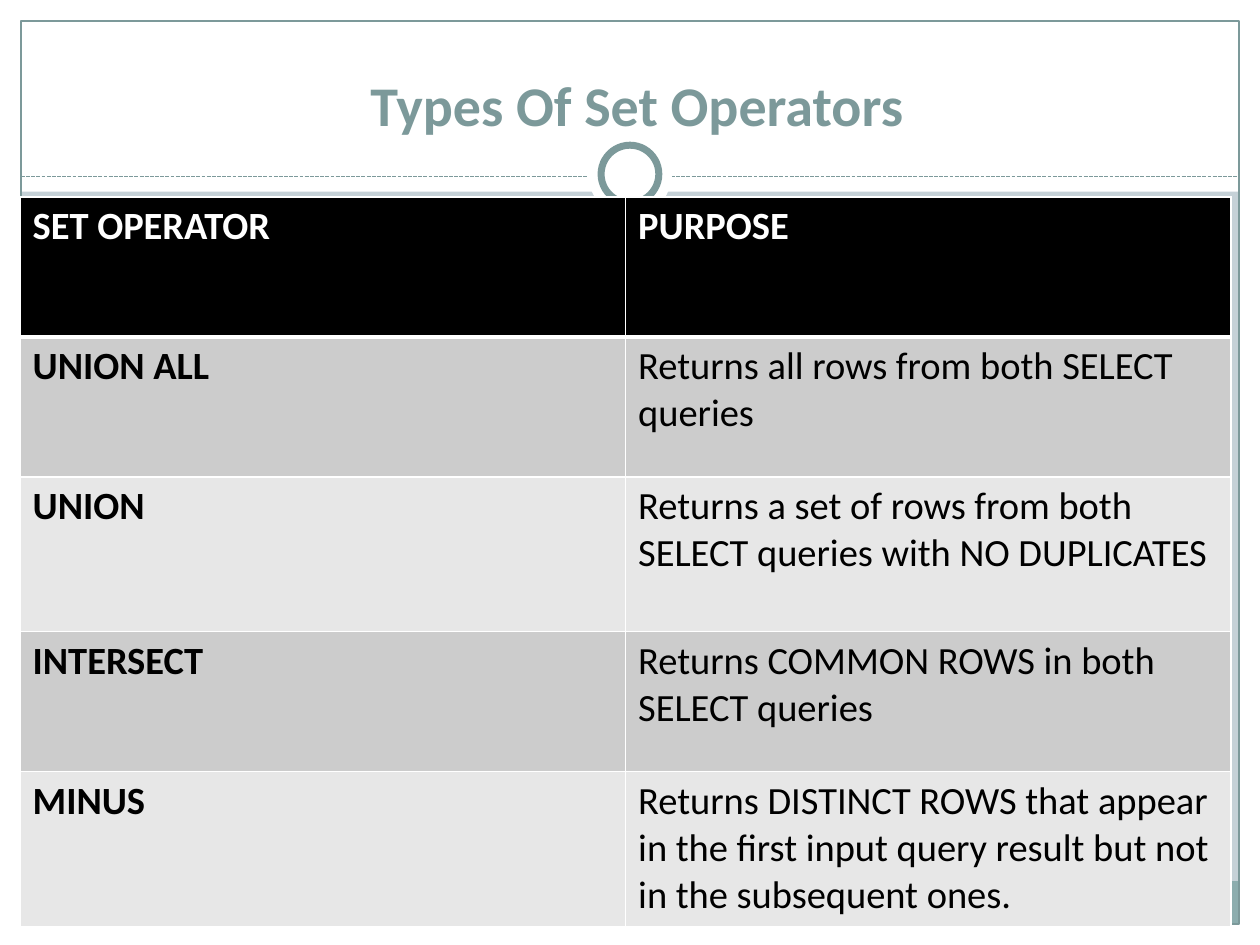
from lxml import etree
from pptx import Presentation
from pptx.dml.color import RGBColor
from pptx.enum import dml, shapes, text
from pptx.oxml import ns
from pptx.util import Pt

HUES = {
    "back": "C5D1D7", "white": "FFFFFF", "teal": "7C999A", "foot": "8CADAE",
    "black": "000000", "dark": "CCCCCC", "light": "E7E7E7",
}
WIDE, HIGH, EDGE = 720, 540, 12
ROWS = [
    ("SET OPERATOR", "PURPOSE", 80),
    ("UNION ALL", "Returns all rows from both SELECT queries", 80),
    ("UNION", "Returns a set of rows from both SELECT queries with NO DUPLICATES", 88.5),
    ("INTERSECT", "Returns COMMON ROWS in both SELECT queries", 80),
    ("MINUS", "Returns DISTINCT ROWS that appear in the first input query result "
              "but not in the subsequent ones.", 88.5),
]


def hue(name):
    return RGBColor.from_string(HUES[name])


def paint(fill, name):
    fill.solid()
    fill.fore_color.rgb = hue(name)


def style(part, look):
    for key, val in look.items():
        setattr(part, key, val)


def write(frame, words, size, tint, bold, align):
    para = frame.paragraphs[0]
    para.alignment = align
    run = para.add_run()
    run.text = words
    style(run.font, {"name": "Calibri", "size": Pt(size), "bold": bold})
    run.font.color.rgb = hue(tint)


def add_form(slide, kind, box, fill=None, width=0):
    form = slide.shapes.add_shape(kind, *map(Pt, box))
    form.shadow.inherit = False
    if fill:
        paint(form.fill, fill)
    else:
        form.fill.background()
    if width:
        form.line.color.rgb = hue("teal")
        form.line.width = Pt(width)
    else:
        form.line.fill.background()


def add_frame(slide, box):
    left, top, width, height = box
    right, base = left + width, top + height
    rect, oval = shapes.MSO_SHAPE.RECTANGLE, shapes.MSO_SHAPE.OVAL
    for band in [(left, base - EDGE, width, EDGE), (left, top, width, 109.5),
                 (left, top, EDGE, height), (right - EDGE, top, EDGE, height)]:
        add_form(slide, rect, band, "white")
    inner = width - 2 * EDGE
    add_form(slide, rect, (left + EDGE, base - 36.5, inner, 24.5), "foot")
    add_form(slide, rect, (left + EDGE, top + EDGE, inner, height - 2 * EDGE), None, 0.75)
    rule = slide.shapes.add_connector(
        shapes.MSO_CONNECTOR.STRAIGHT,
        *map(Pt, (left + EDGE, top + 100.8, right - EDGE, top + 100.8)))
    rule.line.color.rgb = hue("teal")
    style(rule.line, {"width": Pt(0.75), "dash_style": dml.MSO_LINE.SQUARE_DOT})
    etree.SubElement(rule._element.spPr, ns.qn("a:effectLst"))
    for size, line in [(48, 0), (33, 4)]:
        spot = (left + (width - size) / 2, top + 99.5 - size / 2, size, size)
        add_form(slide, oval, spot, "white", line)


def add_title(slide, box):
    frame = slide.shapes.add_textbox(*map(Pt, box)).text_frame
    style(frame, {"word_wrap": True, "vertical_anchor": text.MSO_ANCHOR.BOTTOM})
    write(frame, "Types Of Set Operators", 32, "teal", True, text.PP_ALIGN.CENTER)


def add_edges(cell, widths):
    props = cell._tc.get_or_add_tcPr()
    for side, width in zip("LRTB", widths):
        line = etree.SubElement(props, ns.qn("a:ln" + side), w=str(Pt(width)))
        fill = etree.SubElement(line, ns.qn("a:solidFill"))
        etree.SubElement(fill, ns.qn("a:srgbClr"), val=HUES["white"])


def add_grid(slide, box):
    table = slide.shapes.add_table(len(ROWS), 2, *map(Pt, box)).table
    style(table, {"first_row": True, "horz_banding": False})
    for col in table.columns:
        col.width = Pt(box[2] / 2)
    for i, (name, goal, high) in enumerate(ROWS):
        table.rows[i].height = Pt(high)
        head = i == 0
        fill = "black" if head else "dark" if i % 2 else "light"
        for j, words in enumerate((name, goal)):
            cell = table.cell(i, j)
            add_edges(cell, (1, 1, 3 if i == 1 else 1, 3 if head else 1))
            paint(cell.fill, fill)
            write(cell.text_frame, words, 22, "white" if head else "black",
                  head or j == 0, text.PP_ALIGN.LEFT)


def main():
    deck = Presentation()
    style(deck, {"slide_width": Pt(WIDE), "slide_height": Pt(HIGH)})
    slide = deck.slides.add_slide(deck.slide_layouts[6])
    paint(slide.background.fill, "back")
    add_frame(slide, (0, 0, WIDE, HIGH))
    add_title(slide, (28, 22.5, 672, 60))
    add_grid(slide, (11.5, 112.5, 692, sum(row[2] for row in ROWS)))
    deck.save("out.pptx")


if __name__ == "__main__":
    main()
